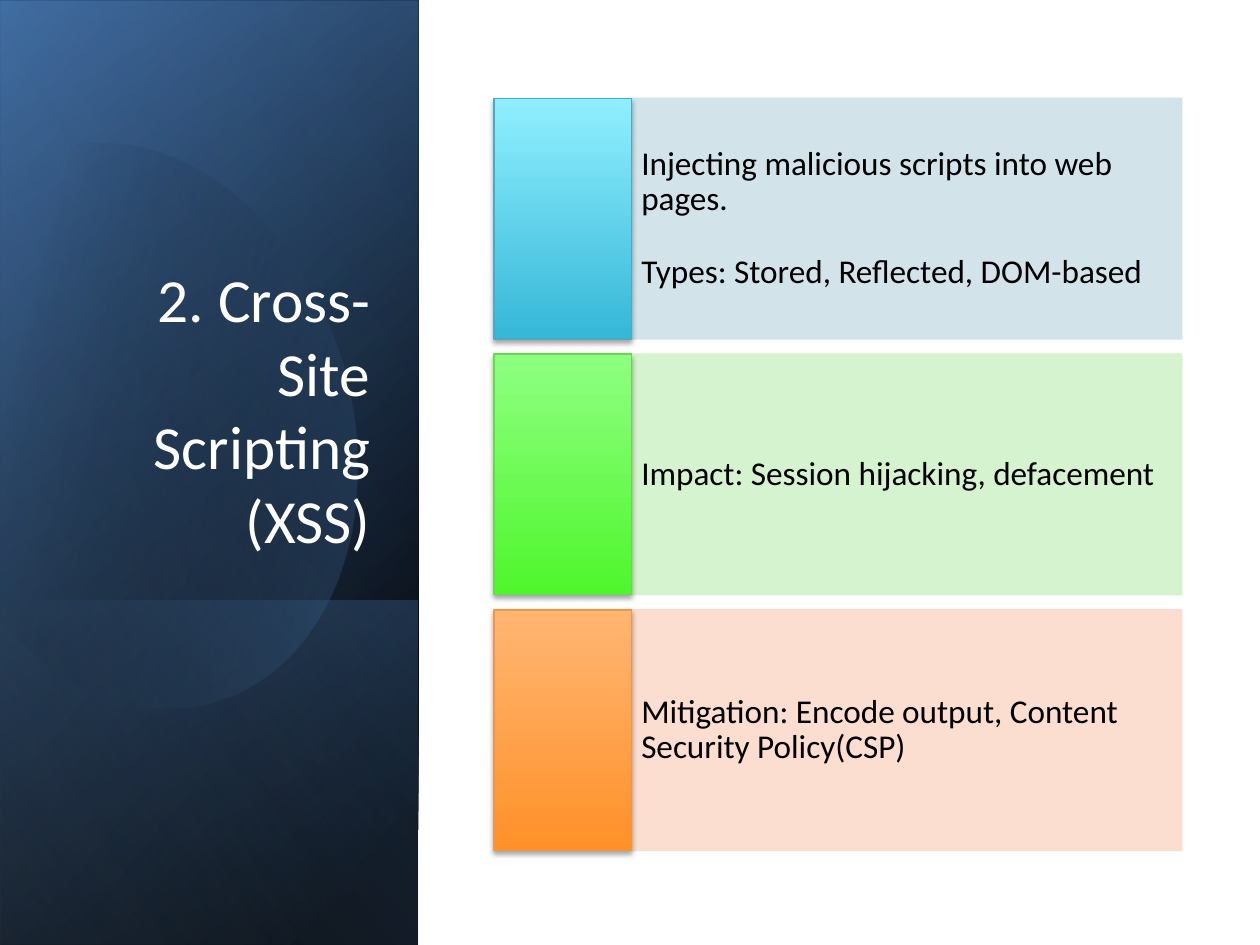
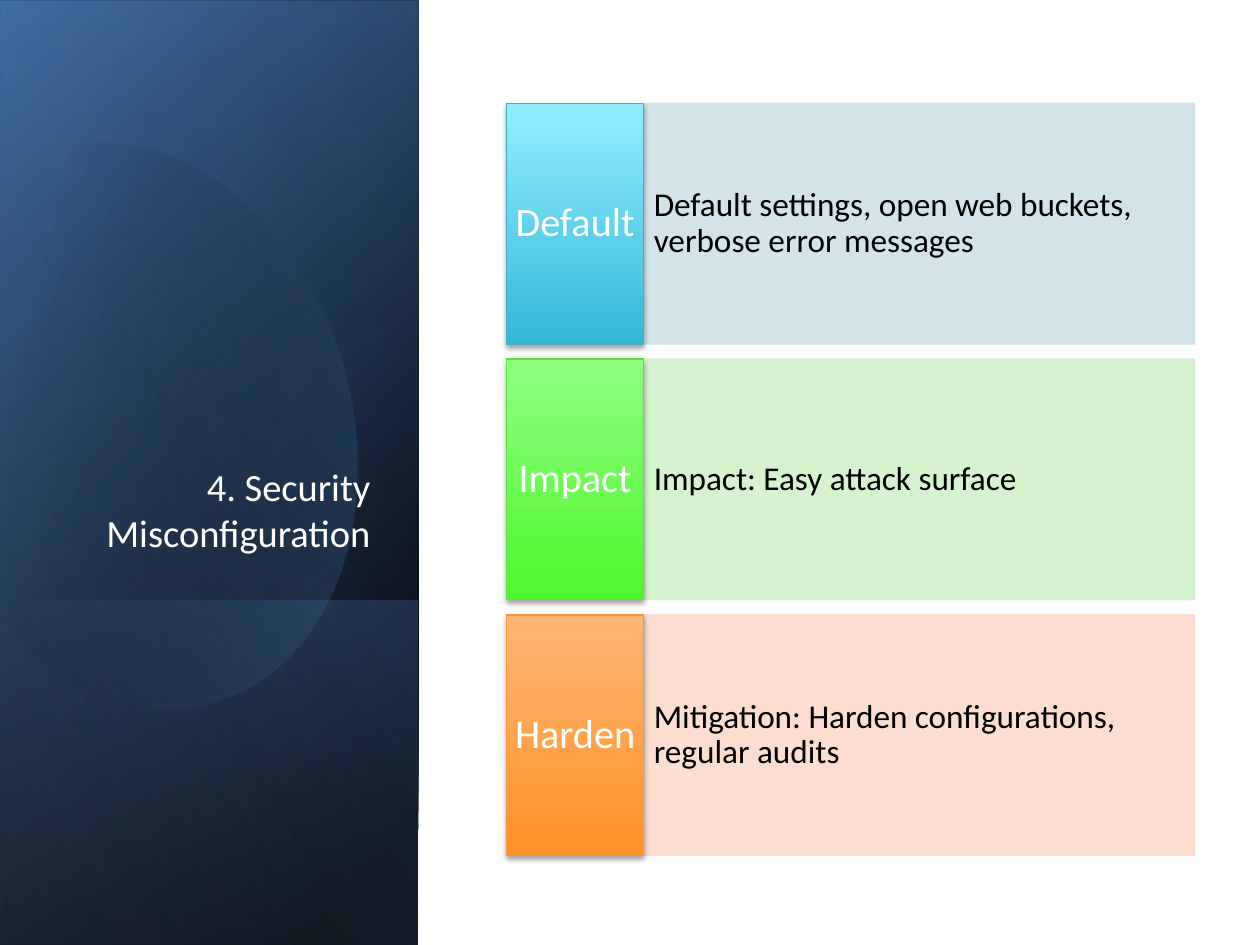
"""Build two web security slides with a gradient sidebar and coloured rows."""
from dataclasses import dataclass
from math import cos, radians, sin

from lxml.etree import SubElement
from pptx import Presentation
from pptx.dml.color import RGBColor
from pptx.enum.shapes import MSO_SHAPE
from pptx.enum.text import MSO_ANCHOR, MSO_AUTO_SIZE, PP_ALIGN
from pptx.oxml import parse_xml
from pptx.oxml.ns import nsdecls, qn
from pptx.shapes.autoshape import Shape
from pptx.slide import Slide
from pptx.text.text import TextFrame
from pptx.util import Emu, Pt

PX_PER_INCH = 100
Stop = tuple[int, str, int]
Point = tuple[float, float]


@dataclass(frozen=True)
class Theme:
    """Colours and type sizes shared by the slides."""

    font: str = "Calibri"
    white: str = "FFFFFF"
    black: str = "000000"
    navy: str = "366092"
    blue: str = "4F81BD"
    mist: str = "93B3D7"
    panel_alpha: int = 89
    shadow_alpha: int = 35
    line_width: float = 0.75
    panel_size: int = 19
    tile_size: int = 23


@dataclass(frozen=True)
class Box:
    """A place on the slide in px."""

    x: int
    y: int
    w: int
    h: int


@dataclass(frozen=True)
class Layer:
    """A sidebar rectangle turned by a quarter."""

    box: Box
    stops: tuple[Stop, ...]
    angle: int


@dataclass(frozen=True)
class Palette:
    """The colours of one row."""

    panel: str
    bottom: str
    top: str
    edge: str


@dataclass(frozen=True)
class Row:
    """The words of one row."""

    paragraphs: tuple[str, ...]
    label: str = ""


@dataclass(frozen=True)
class Page:
    """The content of one slide."""

    title: str
    title_size: int
    left: int
    top: int
    rows: tuple[Row, ...]


T = Theme()
TITLE_BOX = Box(48, 184, 256, 262)
SIDEBAR_BOX = Box(-209, 209, 750, 332)
TILE_W, PANEL_W, ROW_H, ROW_PITCH = 109, 437, 191, 203

BASE_LAYERS = (
    Layer(SIDEBAR_BOX,
          ((0, T.black, 100), (8, T.black, 100), (100, T.navy, 100)), 50),
    Layer(Box(-209, 211, 750, 331),
          ((0, T.black, 0), (99, T.blue, 45), (100, T.blue, 45)), 30),
    Layer(Box(29, 448, 274, 331),
          ((0, T.blue, 28), (2, T.blue, 28), (100, T.black, 29)), 130),
)
SHEEN = Layer(SIDEBAR_BOX,
              ((0, T.black, 0), (99, T.mist, 11), (100, T.mist, 11)), 120)

GLOW_STOPS = ((0, T.black, 0), (29, T.black, 0), (100, T.blue, 42))
GLOW_CENTRE = (119, 334)
GLOW_TURN = 343.9
GLOW_START = (96, 114)
GLOW_SEGMENTS = (
    ((171, 122), (244, 192), (273, 290)),
    ((307, 412), (262, 531), (171, 557)),
    ((114, 574), (53, 550), (7, 500)),
    ((-3, 488),),
    ((-25, 166),),
    ((-15, 154),),
    ((2, 137), (22, 125), (45, 118)),
    ((62, 113), (79, 112), (96, 114)),
)

PALETTES = (
    Palette("CDE1E8", "36B7D7", "90EFFF", "49ACC5"),
    Palette("D2F2CB", "4FF62D", "8FFF81", "5FDF45"),
    Palette("FBDACB", "FF9129", "FFB673", "F69444"),
)

PAGES = (
    Page("2. Cross-Site Scripting (XSS)", 35, 392, 78, (
        Row(("Injecting malicious scripts into web pages.",
             "Types: Stored, Reflected, DOM-based")),
        Row(("Impact: Session hijacking, defacement",)),
        Row(("Mitigation: Encode output, Content Security Policy(CSP)",)),
    )),
    Page("4. Security Misconfiguration", 22, 402, 82, (
        Row(("Default settings, open web buckets, verbose error messages",), "Default"),
        Row(("Impact: Easy attack surface",), "Impact"),
        Row(("Mitigation: Harden configurations, regular audits",), "Harden"),
    )),
)


def px(n: float) -> Emu:
    """Turn px into EMU."""
    return Emu(round(n * 914400 / PX_PER_INCH))


def place(sp: Shape, box: Box) -> None:
    """Move and size a shape."""
    sp.left, sp.top, sp.width, sp.height = map(px, (box.x, box.y, box.w, box.h))


def add_rect(s: Slide, box: Box) -> Shape:
    """Add a rectangle without a shadow."""
    sp = s.shapes.add_shape(MSO_SHAPE.RECTANGLE, 0, 0, 0, 0)
    place(sp, box)
    sp.shadow.inherit = False
    return sp


def set_gradient(sp: Shape, stops: tuple[Stop, ...], angle: int) -> None:
    """Fill a shape with a linear gradient of colours and opacities."""
    sp.fill.gradient()
    marks = "".join(
        f'<a:gs pos="{pos * 1000}"><a:srgbClr val="{color}">'
        f'<a:alpha val="{alpha * 1000}"/></a:srgbClr></a:gs>'
        for pos, color, alpha in stops)
    grad = parse_xml(
        f'<a:gradFill {nsdecls("a")} rotWithShape="1"><a:gsLst>{marks}</a:gsLst>'
        f'<a:lin ang="{angle * 60000}" scaled="0"/></a:gradFill>')
    sp_pr = sp.element.spPr
    sp_pr.replace(sp_pr.find(qn("a:gradFill")), grad)


def set_line(sp: Shape, color: str) -> None:
    """Give a shape a thin outline."""
    sp.line.color.rgb = RGBColor.from_string(color)
    sp.line.width = Pt(T.line_width)


def add_shadow(sp: Shape) -> None:
    """Drop a soft shadow below a shape."""
    effects = sp.element.spPr.find(qn("a:effectLst"))
    shadow = SubElement(effects, qn("a:outerShdw"), blurRad=str(Pt(3.1)),
                        dist=str(Pt(1.8)), dir="5400000", rotWithShape="0")
    color = SubElement(shadow, qn("a:srgbClr"), val=T.black)
    SubElement(color, qn("a:alpha"), val=str(T.shadow_alpha * 1000))


def set_text(tf: TextFrame, paragraphs: tuple[str, ...], size: int, color: str,
             align: PP_ALIGN, anchor: MSO_ANCHOR, insets: tuple[int, int],
             spacing: float = 1.0) -> None:
    """Write paragraphs, one blank line's height apart."""
    tf.text = "\n".join(paragraphs)
    tf.word_wrap = True
    tf.auto_size = MSO_AUTO_SIZE.NONE
    tf.vertical_anchor = anchor
    tf.margin_left = tf.margin_right = px(insets[0])
    tf.margin_top = tf.margin_bottom = px(insets[1])
    for i, p in enumerate(tf.paragraphs):
        p.alignment = align
        p.line_spacing = spacing
        p.space_before = Pt(round(size * 1.09) if i else 0)
        for r in p.runs:
            r.font.name = T.font
            r.font.size = Pt(size)
            r.font.color.rgb = RGBColor.from_string(color)


def add_layer(s: Slide, layer: Layer) -> None:
    """Add one sidebar rectangle."""
    sp = add_rect(s, layer.box)
    sp.rotation = 90
    sp.element.spPr.find(qn("a:xfrm")).set("flipH", "1")
    set_gradient(sp, layer.stops, layer.angle)
    sp.line.fill.background()


def bezier(points: tuple[Point, ...], t: float) -> Point:
    """Find a point on a curve of any degree."""
    while len(points) > 1:
        points = tuple((a[0] + (b[0] - a[0]) * t, a[1] + (b[1] - a[1]) * t)
                       for a, b in zip(points, points[1:]))
    return points[0]


def unturn(point: Point) -> tuple[Emu, Emu]:
    """Undo the turn of the glow and give EMU."""
    c, d = cos(radians(-GLOW_TURN)), sin(radians(-GLOW_TURN))
    cx, cy = GLOW_CENTRE
    x, y = point[0] - cx, point[1] - cy
    return px(cx + x * c - y * d), px(cy + x * d + y * c)


def add_glow(s: Slide, steps: int = 16) -> None:
    """Add the turned oval glow of the sidebar."""
    points = [GLOW_START]
    for segment in GLOW_SEGMENTS:
        curve = (points[-1], *segment)
        count = steps if len(segment) > 1 else 1
        points += [bezier(curve, i / count) for i in range(1, count + 1)]
    start, *rest = map(unturn, points)
    builder = s.shapes.build_freeform(*start)
    builder.add_line_segments(rest, close=True)
    sp = builder.convert_to_shape()
    sp.rotation = GLOW_TURN
    sp.shadow.inherit = False
    set_gradient(sp, GLOW_STOPS, 30)
    sp.line.fill.background()


def add_row(s: Slide, row: Row, colors: Palette, x: int, y: int) -> None:
    """Add a panel with its text and the tile beside it."""
    panel = add_rect(s, Box(x + TILE_W, y, PANEL_W, ROW_H))
    panel.fill.solid()
    panel.fill.fore_color.rgb = RGBColor.from_string(colors.panel)
    set_line(panel, colors.panel)
    for color in panel.element.spPr.iter(qn("a:srgbClr")):
        SubElement(color, qn("a:alpha"), val=str(T.panel_alpha * 1000))
    set_text(panel.text_frame, row.paragraphs, T.panel_size, T.black,
             PP_ALIGN.LEFT, MSO_ANCHOR.MIDDLE, (8, 49), 0.9)

    tile = add_rect(s, Box(x, y, TILE_W, ROW_H))
    set_gradient(tile, ((0, colors.bottom, 100), (100, colors.top, 100)), 270)
    set_line(tile, colors.edge)
    add_shadow(tile)
    if row.label:
        set_text(tile.text_frame, (row.label,), T.tile_size, T.white,
                 PP_ALIGN.CENTER, MSO_ANCHOR.MIDDLE, (6, 19), 0.9)


def add_page(prs: Presentation, page: Page) -> None:
    """Add one slide with sidebar, title and rows."""
    s = prs.slides.add_slide(prs.slide_layouts.get_by_name("Title Only"))
    for layer in BASE_LAYERS:
        add_layer(s, layer)
    add_glow(s)
    add_layer(s, SHEEN)
    title = s.shapes.title
    title.element.getparent().append(title.element)
    place(title, TITLE_BOX)
    set_text(title.text_frame, (page.title,), page.title_size, T.white,
             PP_ALIGN.RIGHT, MSO_ANCHOR.BOTTOM, (10, 5))
    for i, (row, colors) in enumerate(zip(page.rows, PALETTES)):
        add_row(s, row, colors, page.left, page.top + i * ROW_PITCH)


def main() -> None:
    """Build and save the presentation."""
    prs = Presentation()
    prs.slide_width, prs.slide_height = px(1000), px(750)
    for page in PAGES:
        add_page(prs, page)
    prs.save("out.pptx")


if __name__ == "__main__":
    main()
